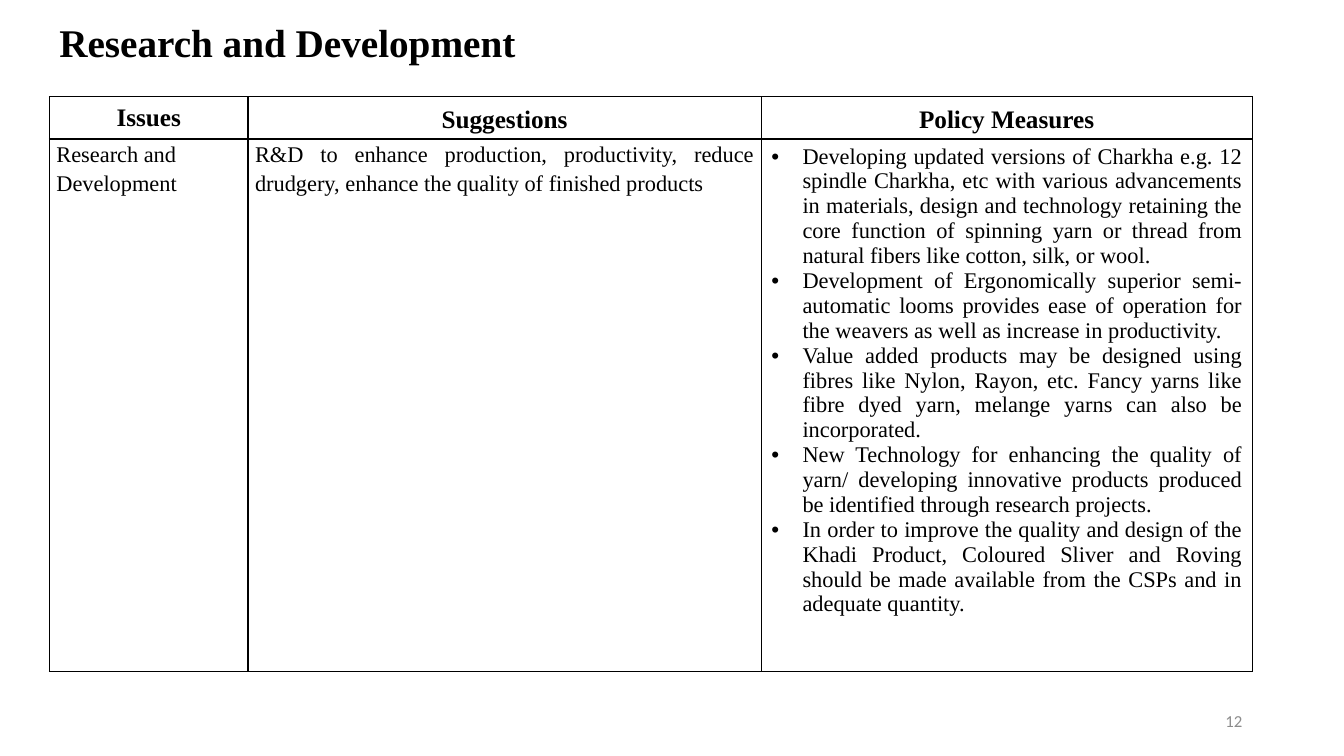
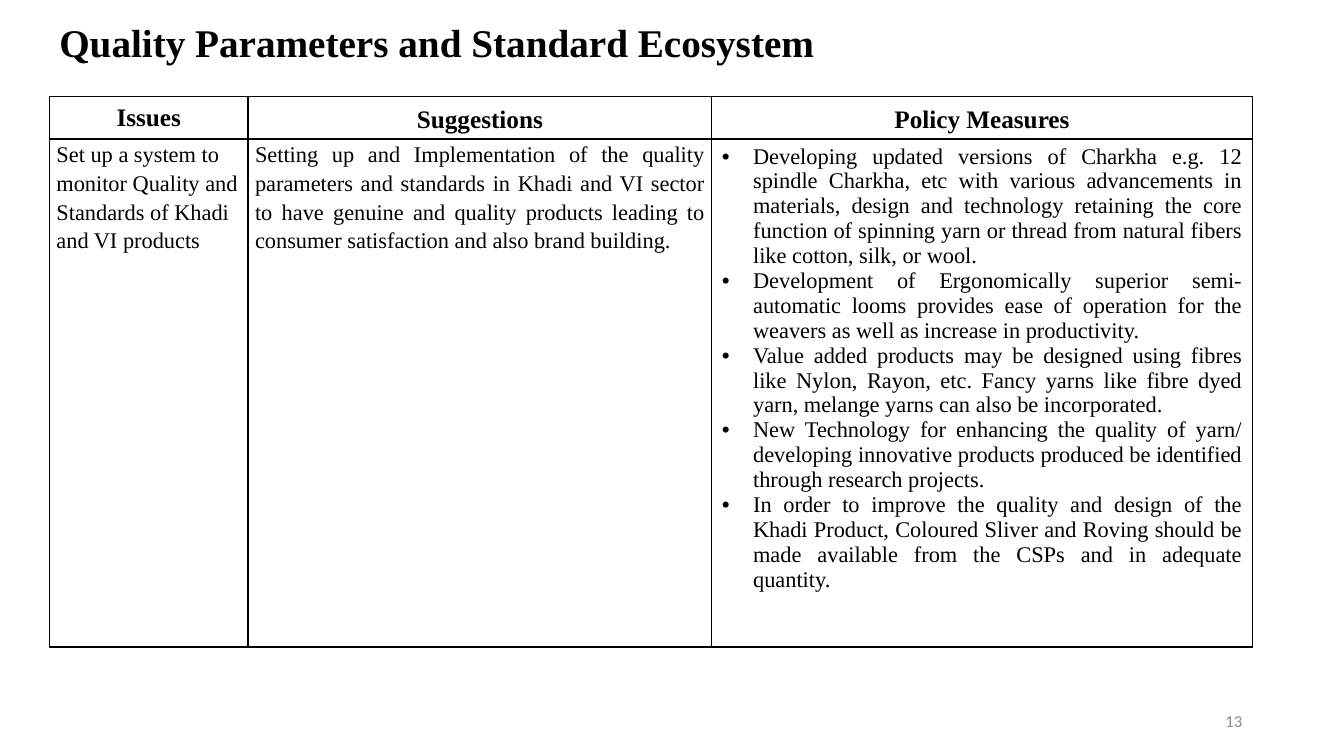
import pptx
import pptx.dml.color
import pptx.enum.text
import pptx.oxml
import pptx.oxml.ns
import pptx.util
from dataclasses import dataclass

Inches = pptx.util.Inches
Pt = pptx.util.Pt
ALIGN = pptx.enum.text.PP_ALIGN
ANCHOR = pptx.enum.text.MSO_ANCHOR


@dataclass(frozen=True)
class Theme:
    ink: str = "000000"
    muted: str = "8C8C8C"
    text_font: str = "Times New Roman"
    number_font: str = "Calibri"
    title_size: int = 28
    header_size: int = 18
    body_size: int = 16
    number_size: int = 12
    border_width: int = 1


THEME = Theme()

# Text styles: paragraph formats and font formats
TITLE = ({"alignment": ALIGN.LEFT, "line_spacing": 0.9},
         {"name": THEME.text_font, "size": Pt(THEME.title_size), "bold": True}, THEME.ink)
NUMBER = ({"alignment": ALIGN.RIGHT},
          {"name": THEME.number_font, "size": Pt(THEME.number_size)}, THEME.muted)
HEADER_FONT = {"name": THEME.text_font, "size": Pt(THEME.header_size), "bold": True}
FIRST_HEADER = ({"alignment": ALIGN.CENTER}, HEADER_FONT, THEME.ink)
HEADER = ({"alignment": ALIGN.CENTER, "line_spacing": 1.15}, HEADER_FONT, THEME.ink)
BODY_FONT = {"name": THEME.text_font, "size": Pt(THEME.body_size), "bold": False}
ISSUE = ({"alignment": ALIGN.LEFT, "line_spacing": 1.15}, BODY_FONT, THEME.ink)
SUGGESTION = ({"alignment": ALIGN.JUSTIFY, "line_spacing": 1.15}, BODY_FONT, THEME.ink)
MEASURE = ({"alignment": ALIGN.JUSTIFY}, BODY_FONT, THEME.ink)

# Cell margins
ROOMY = {"margin_left": Inches(0.1), "margin_right": Inches(0.1),
         "margin_top": Inches(0.05), "margin_bottom": Inches(0.05)}
TIGHT = {"margin_left": Inches(0.07), "margin_right": Inches(0.07),
         "margin_top": 0, "margin_bottom": 0}

# Regions: left, top, width, height
TITLE_BOX = (0.49, 0.08, 11.93, 0.72)
NUMBER_BOX = (9.42, 6.95, 3, 0.4)
TABLE_LEFT, TABLE_TOP, TABLE_WIDTH = 0.49, 0.96, 11.93
ISSUES_WIDTH, HEADER_HEIGHT = 1.97, 0.42
BULLET_INDENT = 0.31

HEADINGS = ["Issues", "Suggestions", "Policy Measures"]
POLICY_MEASURES = [
    "Developing updated versions of Charkha e.g. 12 spindle Charkha, etc with various "
    "advancements in materials, design and technology retaining the core function of "
    "spinning yarn or thread from natural fibers like cotton, silk, or wool.",
    "Development of Ergonomically superior semi-automatic looms provides ease of operation "
    "for the weavers as well as increase in productivity.",
    "Value added products may be designed using fibres like Nylon, Rayon, etc. Fancy yarns "
    "like fibre dyed yarn, melange yarns can also be incorporated.",
    "New Technology for enhancing the quality of yarn/ developing innovative products "
    "produced be identified through research projects.",
    "In order to improve the quality and design of the Khadi Product, Coloured Sliver and "
    "Roving should be made available from the CSPs and in adequate quantity.",
]

SLIDES = [
    {"title": "Research and Development", "number": "12",
     "issue": "Research and Development",
     "suggestion": "R&D to enhance production, productivity, reduce drudgery, enhance the "
                   "quality of finished products",
     "suggestions_width": 5.09, "body_height": 5.28},
    {"title": "Quality Parameters and Standard Ecosystem", "number": "13",
     "issue": "Set up a system to monitor Quality and Standards of Khadi and VI products",
     "suggestion": "Setting up and Implementation of the quality parameters and standards in "
                   "Khadi and VI sector to have genuine and quality products leading to "
                   "consumer satisfaction and also brand building.",
     "suggestions_width": 4.6, "body_height": 5.04},
]


def apply_formats(target, formats):
    for attribute, value in formats.items():
        setattr(target, attribute, value)


def write_paragraphs(frame, texts, style):
    paragraph_formats, font_formats, color = style
    for index, text in enumerate(texts):
        paragraph = frame.paragraphs[0] if index == 0 else frame.add_paragraph()
        apply_formats(paragraph, paragraph_formats)
        run = paragraph.add_run()
        run.text = text
        apply_formats(run.font, font_formats)
        run.font.color.rgb = pptx.dml.color.RGBColor.from_string(color)


def add_bullets(frame):
    indent = Inches(BULLET_INDENT)
    for paragraph in frame.paragraphs:
        properties = paragraph._p.get_or_add_pPr()
        properties.set("marL", str(indent))
        properties.set("indent", str(-indent))
        for tag, attribute, value in (("buFont", "typeface", "Arial"), ("buChar", "char", "•")):
            properties.append(pptx.oxml.parse_xml(
                f'<a:{tag} {pptx.oxml.ns.nsdecls("a")} {attribute}="{value}"/>'))


def add_borders(cell):
    properties = cell._tc.get_or_add_tcPr()
    for position, side in enumerate("LRTB"):
        properties.insert(position, pptx.oxml.parse_xml(
            f'<a:ln{side} {pptx.oxml.ns.nsdecls("a")} w="{Pt(THEME.border_width)}">'
            f'<a:solidFill><a:srgbClr val="{THEME.ink}"/></a:solidFill></a:ln{side}>'))


def add_text(slide, box, text, style):
    frame = slide.shapes.add_textbox(*map(Inches, box)).text_frame
    apply_formats(frame, {"word_wrap": True, "vertical_anchor": ANCHOR.MIDDLE})
    write_paragraphs(frame, [text], style)


def fill_cell(cell, texts, style, margins, anchor):
    apply_formats(cell, {**margins, "vertical_anchor": anchor})
    cell.fill.background()
    add_borders(cell)
    write_paragraphs(cell.text_frame, texts, style)


def add_measures_table(slide, box, content):
    left, top, width, height = box
    table = slide.shapes.add_table(2, 3, *map(Inches, box)).table
    apply_formats(table, {"first_row": False, "horz_banding": False})
    suggestions_width = content["suggestions_width"]
    widths = [ISSUES_WIDTH, suggestions_width, width - ISSUES_WIDTH - suggestions_width]
    for column, column_width in zip(table.columns, widths):
        column.width = Inches(column_width)
    for row, row_height in zip(table.rows, [HEADER_HEIGHT, height - HEADER_HEIGHT]):
        row.height = Inches(row_height)

    # Heading row
    heading_styles = [(FIRST_HEADER, ROOMY), (HEADER, TIGHT), (HEADER, TIGHT)]
    for column, (heading, (style, margins)) in enumerate(zip(HEADINGS, heading_styles)):
        fill_cell(table.cell(0, column), [heading], style, margins, ANCHOR.MIDDLE)

    # Body row
    body = [([content["issue"]], ISSUE, TIGHT),
            ([content["suggestion"]], SUGGESTION, TIGHT),
            (POLICY_MEASURES, MEASURE, ROOMY)]
    for column, (texts, style, margins) in enumerate(body):
        fill_cell(table.cell(1, column), texts, style, margins, ANCHOR.TOP)
    add_bullets(table.cell(1, 2).text_frame)


def add_policy_slide(deck, content):
    slide = deck.slides.add_slide(deck.slide_layouts[6])
    add_text(slide, TITLE_BOX, content["title"], TITLE)
    table_box = (TABLE_LEFT, TABLE_TOP, TABLE_WIDTH, HEADER_HEIGHT + content["body_height"])
    add_measures_table(slide, table_box, content)
    add_text(slide, NUMBER_BOX, content["number"], NUMBER)


def main():
    deck = pptx.Presentation()
    apply_formats(deck, {"slide_width": Inches(13.33), "slide_height": Inches(7.5)})
    for content in SLIDES:
        add_policy_slide(deck, content)
    deck.save("out.pptx")


if __name__ == "__main__":
    main()
